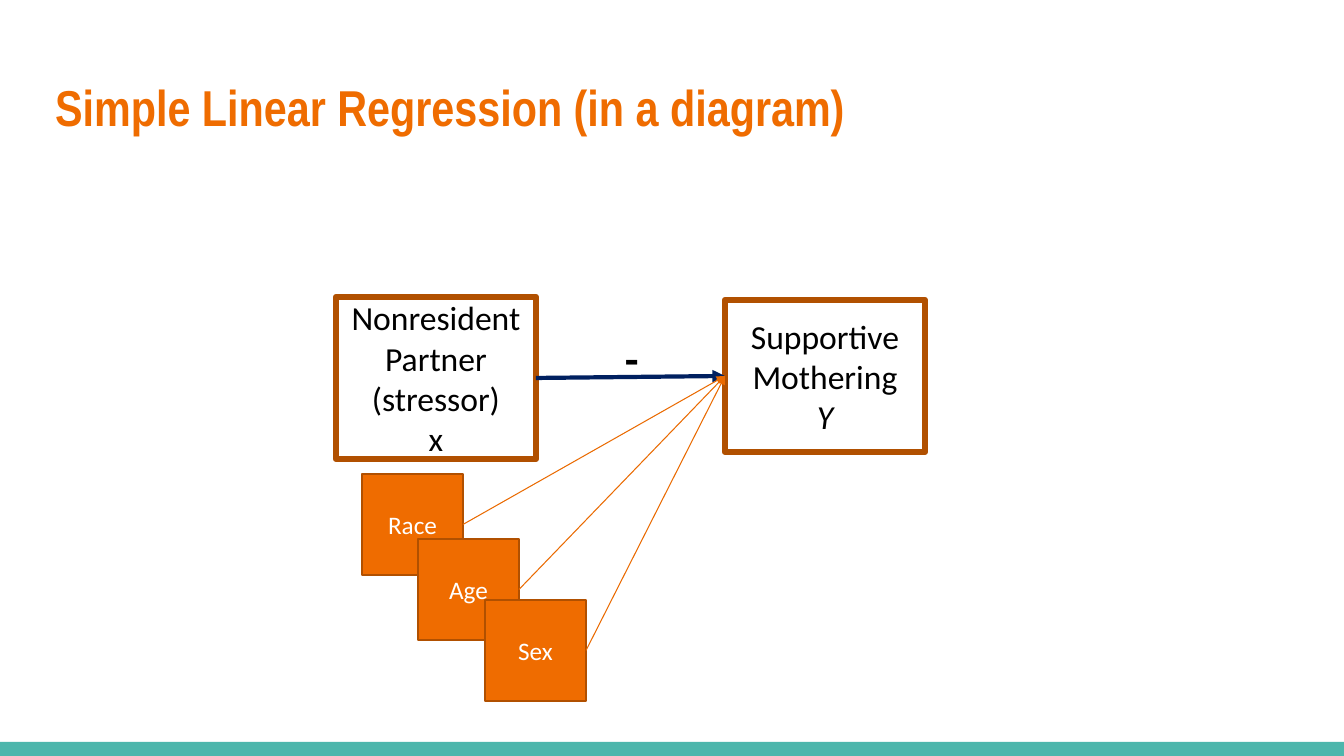
"""Build the simple linear regression diagram slide."""
from lxml.etree import SubElement
from pptx import Presentation
from pptx.dml.color import RGBColor
from pptx.enum.shapes import MSO_CONNECTOR, MSO_SHAPE
from pptx.enum.text import MSO_ANCHOR, PP_ALIGN
from pptx.oxml.ns import qn
from pptx.util import Pt

PX = 914400 / 100.8
WIDTH, HEIGHT = 1344, 756
COLORS = {
    "orange": "EF6C00", "brown": "B15000", "ray": "EA6A00", "navy": "002060",
    "teal": "4DB6AC", "black": "000000", "white": "FFFFFF",
}

TITLE = "Simple Linear Regression (in a diagram)"
TITLE_BOX = (45, 66, 1252, 104)
BAR_BOX = (0, 742, WIDTH, 14)
PREDICTOR = (["Nonresident Partner", "(stressor)", "x"], (336, 297, 200, 162))
OUTCOME = (["Supportive Mothering", "Y"], (725, 300, 200, 152))
SIGN = ("-", (615, 326, 57, 65))
CONTROL_SIZE = 101
CONTROLS = [("Race", 362, 474), ("Age", 418, 539), ("Sex", 485, 600)]


def emu(box):
    return [round(v * PX) for v in box]


def rgb(name):
    return RGBColor.from_string(COLORS[name])


def write(tf, lines, size, color, font="Calibri", bold=None, align=None):
    tf.word_wrap = True
    tf.text = "\n".join(lines)
    for p in tf.paragraphs:
        p.alignment = align
        for r in p.runs:
            r.font.name, r.font.size, r.font.bold = font, Pt(size), bold
            r.font.color.rgb = rgb(color)


def add_box(box, fill=None, line=None, weight=0):
    sp = slide.shapes.add_shape(MSO_SHAPE.RECTANGLE, *emu(box))
    sp.shadow.inherit = False
    if fill:
        sp.fill.solid()
        sp.fill.fore_color.rgb = rgb(fill)
    else:
        sp.fill.background()
    if line:
        sp.line.color.rgb = rgb(line)
        sp.line.width = Pt(weight)
    else:
        sp.line.fill.background()
    return sp


def add_label_box(lines, box, size, color, fill, weight):
    sp = add_box(box, fill, "brown", weight)
    sp.text_frame.vertical_anchor = MSO_ANCHOR.MIDDLE
    write(sp.text_frame, lines, size, color, align=PP_ALIGN.CENTER)
    return sp


def add_arrow(start, end, color, weight):
    cx = slide.shapes.add_connector(MSO_CONNECTOR.STRAIGHT, 0, 0, 0, 0)
    cx.begin_connect(start, 3)
    cx.end_connect(end, 1)
    cx.line.color.rgb = rgb(color)
    cx.line.width = Pt(weight)
    SubElement(cx.line._get_or_add_ln(), qn("a:tailEnd"), type="triangle")
    SubElement(cx._element.spPr, qn("a:effectLst"))


prs = Presentation()
prs.slide_width, prs.slide_height = emu((WIDTH, HEIGHT))
slide = prs.slides.add_slide(prs.slide_layouts[5])

title = slide.shapes.title
title.left, title.top, title.width, title.height = emu(TITLE_BOX)
title.text_frame.vertical_anchor = MSO_ANCHOR.TOP
tf = title.text_frame
tf.margin_left = tf.margin_right = tf.margin_top = tf.margin_bottom = Pt(7.2)
write(tf, [TITLE], 36, "orange", "Arial Narrow", True, PP_ALIGN.LEFT)

add_box(BAR_BOX, "teal")
predictor = add_label_box(*PREDICTOR, 24, "black", None, 4.5)
outcome = add_label_box(*OUTCOME, 24, "black", None, 4.5)
outcome.text_frame.paragraphs[-1].runs[0].font.italic = True
add_arrow(predictor, outcome, "navy", 3)

sign, sign_box = SIGN
tb = slide.shapes.add_textbox(*emu(sign_box))
write(tb.text_frame, [sign], 32, "black", bold=True)

controls = [
    add_label_box([name], (x, y, CONTROL_SIZE, CONTROL_SIZE), 18, "white", "orange", 2)
    for name, x, y in CONTROLS
]
for control in reversed(controls):
    add_arrow(control, outcome, "ray", 0.75)

prs.save("out.pptx")
